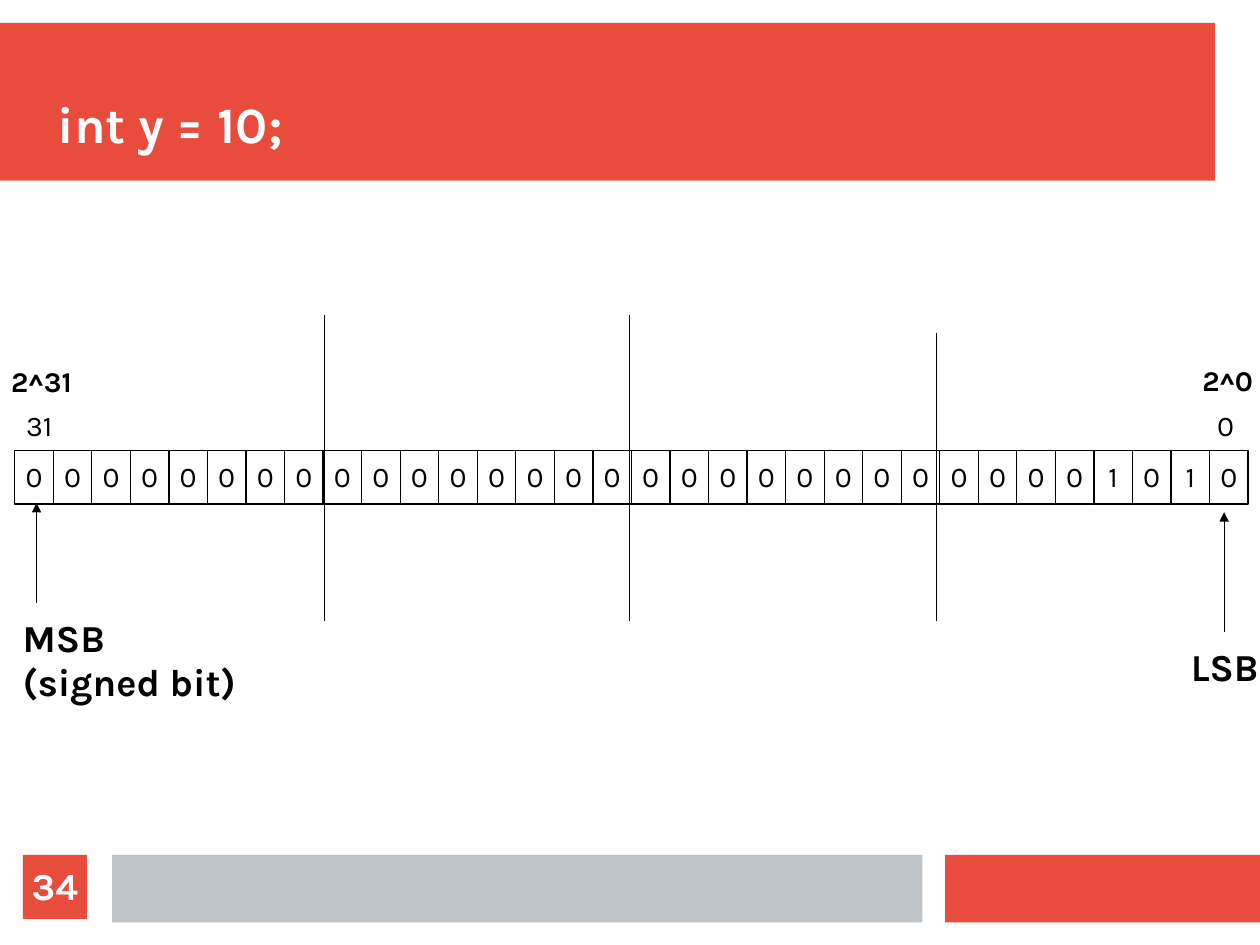
from lxml.etree import SubElement
from pptx import Presentation
from pptx.dml.color import RGBColor
from pptx.enum.shapes import MSO_CONNECTOR, MSO_SHAPE
from pptx.enum.text import MSO_ANCHOR, PP_ALIGN
from pptx.oxml.ns import qn
from pptx.util import Inches, Pt

RED = RGBColor(0xE7, 0x4C, 0x3C)
GRAY = RGBColor(0xBD, 0xC3, 0xC7)
WHITE = RGBColor(255, 255, 255)
BLACK = RGBColor(0, 0, 0)
FONT = "Karla"

# The page is 28 by 21 cm
deck = Presentation()
deck.slide_width, deck.slide_height = Inches(28 / 2.54), Inches(21 / 2.54)
slide = deck.slides.add_slide(deck.slide_layouts[5])
shapes = slide.shapes


def write(shape, text, size=18, bold=False, color=BLACK, align=PP_ALIGN.LEFT,
          anchor=MSO_ANCHOR.TOP, wrap=False, pad=(0.1, 0.05, 0.1, 0.05)):
    """Fill a shape with formatted text; pad is left, top, right, bottom."""
    frame = shape.text_frame
    frame.text = text
    frame.word_wrap = wrap
    frame.vertical_anchor = anchor
    frame.margin_left, frame.margin_top, frame.margin_right, frame.margin_bottom = map(Inches, pad)
    for para in frame.paragraphs:
        para.alignment = align
        para.line_spacing = 0.97
        for run in para.runs:
            font = run.font
            font.name, font.size, font.bold = FONT, Pt(size), bold
            font.color.rgb = color


def block(left, top, width, height, fill, line=None):
    """Add a plain rectangle, outlined only if a line colour is given."""
    rect = shapes.add_shape(MSO_SHAPE.RECTANGLE, Inches(left), Inches(top),
                            Inches(width), Inches(height))
    rect.shadow.inherit = False
    rect.fill.solid()
    rect.fill.fore_color.rgb = fill
    if line is None:
        rect.line.fill.background()
    else:
        rect.line.color.rgb = line
        rect.line.width = Pt(0.75)
    return rect


# Title and bars, with the bars behind the title
title = shapes.title
title.left, title.top = Inches(0.39), Inches(0.39)
title.width, title.height = Inches(10.23), Inches(0.97)
write(title, " int y = 10;", size=32, bold=True, color=WHITE,
      anchor=MSO_ANCHOR.BOTTOM, wrap=True, pad=(0, 0, 0, 0))
for *place, fill in [(0, 0.2, 10.63, 1.38, RED),
                     (8.27, 7.48, 2.76, 0.59, RED),
                     (0.98, 7.48, 7.09, 0.59, GRAY)]:
    bar = block(*place, fill)
    title.element.addprevious(bar.element)

# The 32 bits of the number
STEP = 10.79 / 32
for i, digit in enumerate(f"{10:032b}"):
    bit = block(0.13 + i * STEP, 3.94, STEP, 0.47, WHITE, BLACK)
    write(bit, digit, align=PP_ALIGN.CENTER, anchor=MSO_ANCHOR.MIDDLE)

# Byte dividers, then the MSB and LSB arrows
for x, start, end, arrow in [(8.19, 2.91, 5.43, False),
                             (5.51, 2.76, 5.43, False),
                             (2.84, 2.76, 5.43, False),
                             (0.32, 5.28, 4.4, True),
                             (10.71, 5.53, 4.48, True)]:
    link = shapes.add_connector(MSO_CONNECTOR.STRAIGHT, Inches(x), Inches(start),
                                Inches(x), Inches(end))
    link.line.color.rgb = BLACK
    link.line.width = Pt(0.75)
    if arrow:
        SubElement(link.element.spPr.find(qn("a:ln")), qn("a:tailEnd"), type="triangle")
    SubElement(link.element.spPr, qn("a:effectLst"))

# Labels
for text, left, top, width, height, size, bold in [
    ("31", 0.13, 3.54, 0.47, 0.4, 18, False),
    ("0", 10.55, 3.54, 0.34, 0.4, 18, False),
    ("2^31", 0, 3.15, 0.76, 0.4, 18, True),
    ("2^0", 10.42, 3.14, 0.65, 0.4, 18, True),
    ("MSB\n(signed bit)", 0.1, 5.35, 2.18, 0.87, 24, True),
    ("LSB", 10.32, 5.6, 0.86, 0.5, 24, True),
]:
    label = shapes.add_textbox(Inches(left), Inches(top), Inches(width), Inches(height))
    write(label, text, size=size, bold=bold)

# Page number
page = block(0.2, 7.48, 0.56, 0.56, RED)
write(page, "34", size=24, bold=True, color=WHITE, align=PP_ALIGN.CENTER,
      anchor=MSO_ANCHOR.MIDDLE, wrap=True, pad=(0, 0, 0, 0))

deck.save("out.pptx")
